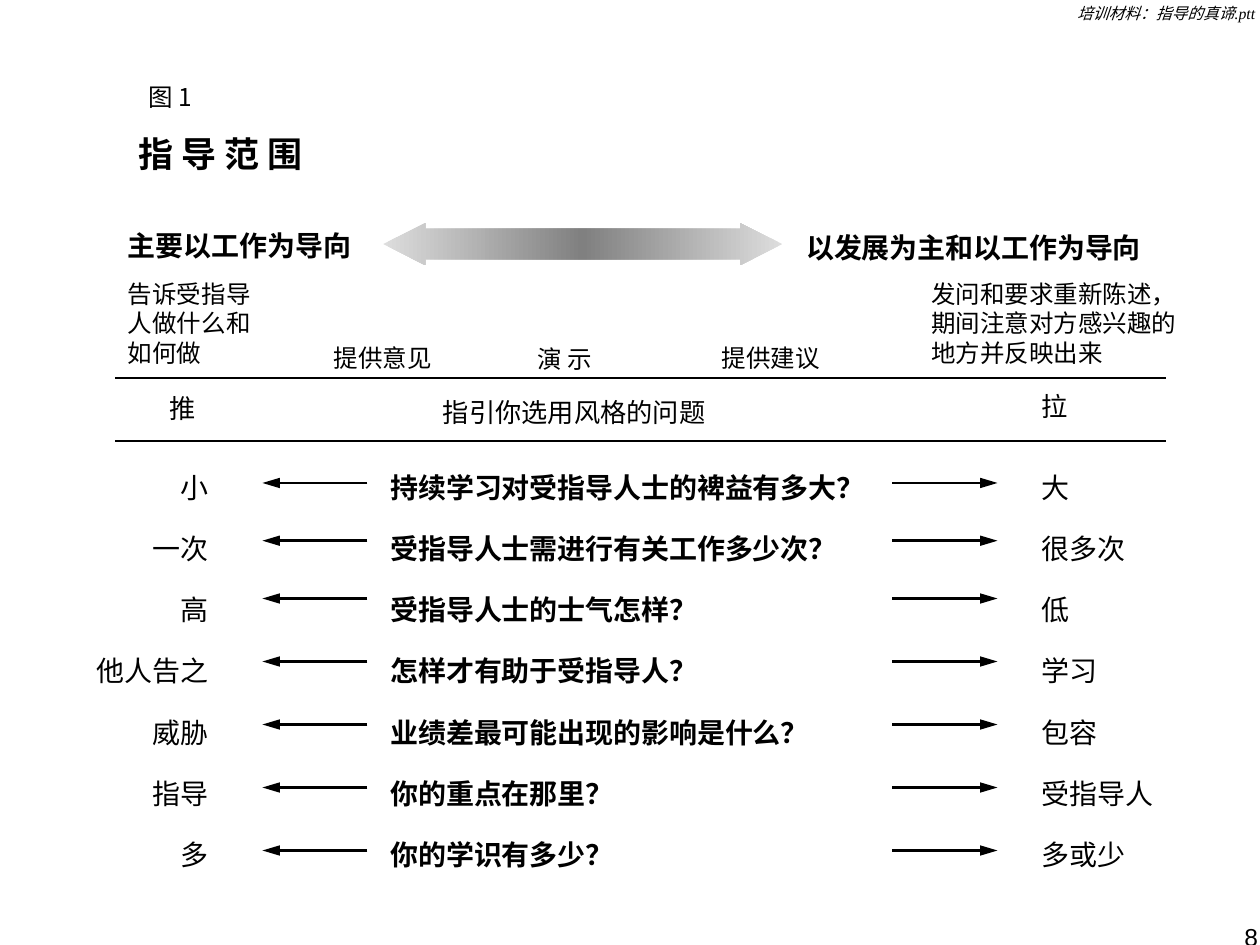
from copy import deepcopy

from lxml import etree
from pptx import Presentation
from pptx import util as u
from pptx.dml import color
from pptx.enum import shapes, text
from pptx.oxml import ns

Pt = u.Pt
BLACK = color.RGBColor(0x00, 0x00, 0x00)
LIGHT = color.RGBColor(0xDD, 0xDD, 0xDD)
GRAY = color.RGBColor(0x80, 0x80, 0x80)
SANS, SERIF = "Noto Sans CJK SC", "Times New Roman"
LEFT, RIGHT = text.PP_ALIGN.LEFT, text.PP_ALIGN.RIGHT

deck = Presentation()
deck.slide_width, deck.slide_height = Pt(720), Pt(540)
page = deck.slides.add_slide(deck.slide_layouts[6])


def add_text(lines, left, top, width, height, size, face=SANS, bold=False,
             italic=False, align=LEFT, leading=1.2, gap=0):
    """Text box with fixed leading, in multiples of the font size."""
    box = page.shapes.add_textbox(Pt(left), Pt(top + size * 0.08), Pt(width), Pt(height))
    frame = box.text_frame
    frame.word_wrap = True
    frame.text = "\n".join(lines)
    for index, para in enumerate(frame.paragraphs):
        para.alignment = align
        para.line_spacing = Pt(round(size * leading, 1))
        if index:
            para.space_before = Pt(gap)
        for span in para.runs:
            font = span.font
            font.size, font.name = Pt(size), face
            font.bold, font.italic = bold, italic
            font.color.rgb = BLACK
            east = etree.SubElement(font._element, ns.qn("a:ea"))
            east.set("typeface", SANS)


def add_line(x1, y1, x2, y2, weight, arrow=False):
    line = page.shapes.add_connector(
        shapes.MSO_CONNECTOR.STRAIGHT, Pt(x1), Pt(y1), Pt(x2), Pt(y2))
    line.line.width = Pt(weight)
    line.line.color.rgb = BLACK
    if arrow:
        etree.SubElement(line.line._get_or_add_ln(), ns.qn("a:tailEnd"),
                         type="triangle", w="med", len="lg")
    etree.SubElement(line._element.spPr, ns.qn("a:effectLst"))


# Running header, figure number and title
add_text(["培训材料：指导的真谛.ptt"], 608.4, -2, 228, 18, 9, SERIF, italic=True)
add_text(["图 1"], 78, 42, 48, 24, 14)
add_text(["指 导 范 围"], 72, 70.5, 150, 32, 20, bold=True)

# The two ends of the range
add_text(["主要以工作为导向"], 66, 126, 168, 26, 16, bold=True)
add_text(["以发展为主和以工作为导向"], 453.6, 126.7, 219, 26, 16, bold=True)

# Double arrow between them
span_arrow = page.shapes.add_shape(
    shapes.MSO_SHAPE.LEFT_RIGHT_ARROW, Pt(219), Pt(127.5), Pt(228), Pt(24))
span_arrow.adjustments[0], span_arrow.adjustments[1] = 0.72, 1.0
span_arrow.shadow.inherit = False
span_arrow.line.fill.background()
span_arrow.fill.gradient()
span_arrow.fill.gradient_angle = 0
stop_list = span_arrow.fill._fill._gradFill.gsLst
stop_list.insert(1, deepcopy(stop_list[0]))
for stop, place, shade in zip(span_arrow.fill.gradient_stops, (0, 0.5, 1), (LIGHT, GRAY, LIGHT)):
    stop.position = place
    stop.color.rgb = shade

# Styles along the range
add_text(["告诉受指导人做什么和如何做"], 66, 154.8, 90, 58, 14)
add_text(["提供意见"], 183.6, 191.5, 80, 24, 14)
add_text(["演 示"], 300, 192, 60, 24, 14)
add_text(["提供建议"], 405.4, 191.5, 80, 24, 14)
add_text(["发问和要求重新陈述，期间注意对方感兴趣的地方并反映出来"], 525, 154.8, 158.4, 58, 14)

# Push / pull band between two rules
for y in (216, 252):
    add_line(66, y, 666, y, 0.75)
add_text(["推"], 90, 219.6, 36, 25, 15, SERIF)
add_text(["指引你选用风格的问题"], 246, 222, 210, 25, 15, SERIF)
add_text(["拉"], 588, 218.2, 36, 25, 15, SERIF)

# Questions with the answers at either end
rows = [
    ("小", "持续学习对受指导人士的裨益有多大？", "大"),
    ("一次", "受指导人士需进行有关工作多少次？", "很多次"),
    ("高", "受指导人士的士气怎样？", "低"),
    ("他人告之", "怎样才有助于受指导人？", "学习"),
    ("威胁", "业绩差最可能出现的影响是什么？", "包容"),
    ("指导", "你的重点在那里？", "受指导人"),
    ("多", "你的学识有多少？", "多或少"),
]
push, questions, pull = zip(*rows)
columns = [(push, 30, 96, False, RIGHT), (questions, 216, 294, True, LEFT),
           (pull, 588, 126, False, LEFT)]
for lines, left, width, bold, align in columns:
    add_text(lines, left, 258, width, 242, 16, SERIF, bold=bold, align=align,
             leading=1.56, gap=10)

for y in (276, 309, 342, 378, 414, 450, 486):
    add_line(210, y, 150, y, 1.5, arrow=True)
    add_line(510, y, 570, y, 1.5, arrow=True)

# Page number
add_text(["8"], 576, 522, 150, 36, 14, "Arial", align=RIGHT)

deck.save("out.pptx")
